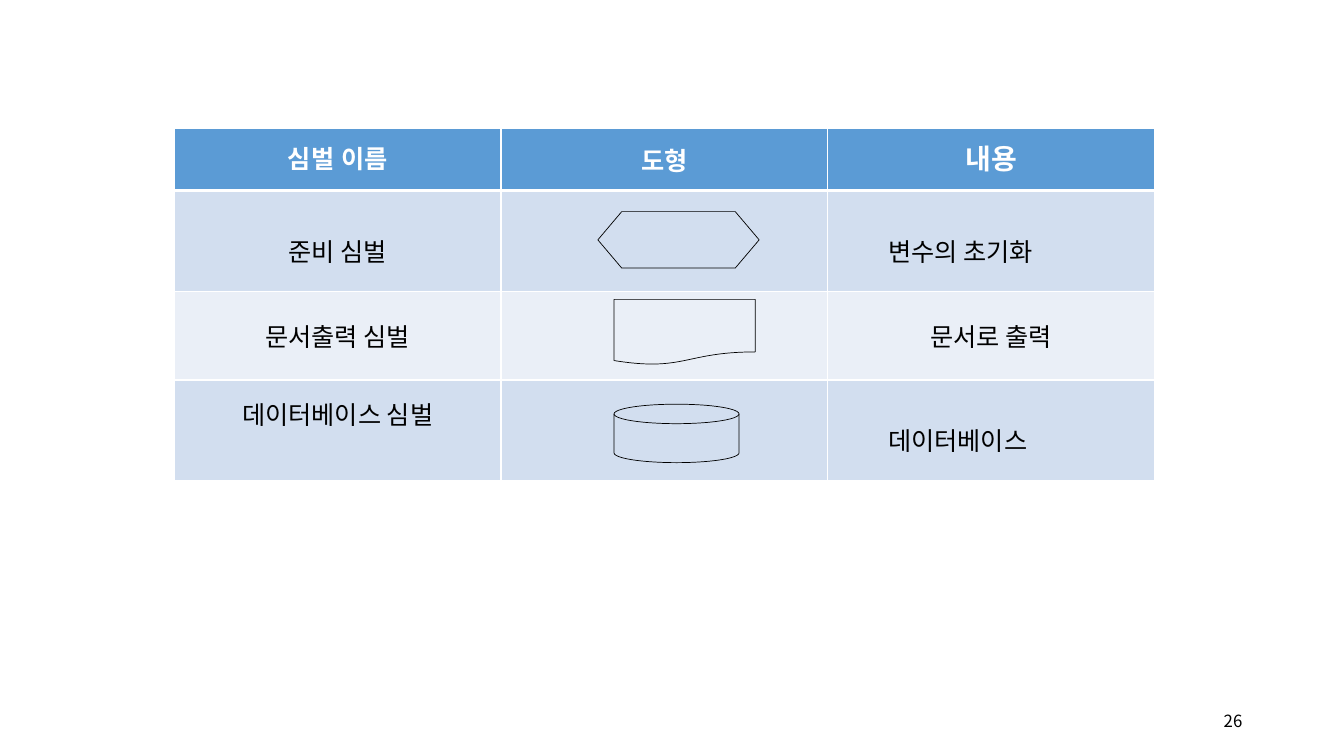
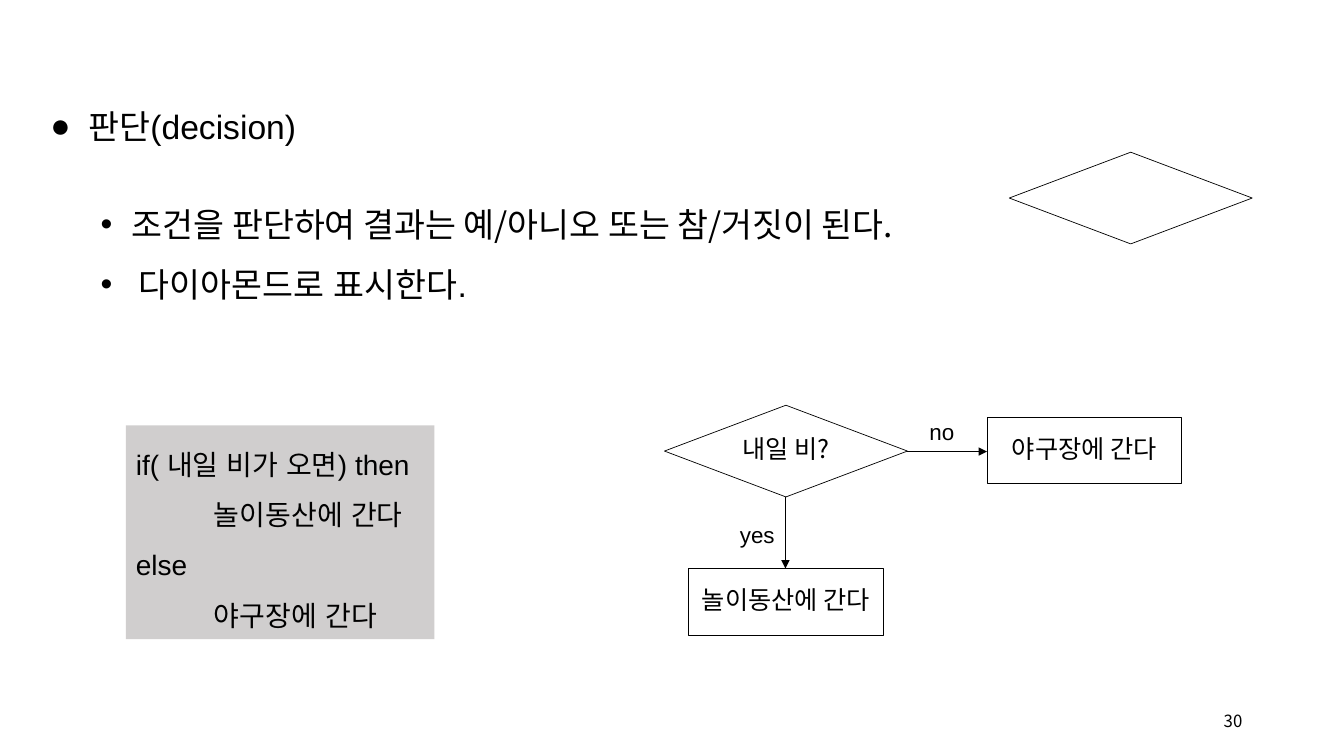
from dataclasses import dataclass

from lxml import etree
from pptx import Presentation
from pptx import util as u
from pptx.dml.color import RGBColor
from pptx.enum import shapes, text
from pptx.oxml import ns

Inches = u.Inches
KIND = shapes.MSO_SHAPE
MID, TOP = text.MSO_ANCHOR.MIDDLE, text.MSO_ANCHOR.TOP
LEFT, MITTE, RIGHT = text.PP_ALIGN.LEFT, text.PP_ALIGN.CENTER, text.PP_ALIGN.RIGHT
Rect = tuple[float, float, float, float]


@dataclass(frozen=True)
class Theme:
    ink: str = "000000"
    white: str = "FFFFFF"
    head: str = "5B9BD5"
    bands: tuple[str, str] = ("D2DEEF", "EAEFF7")
    code: str = "D0CECE"
    latin: str = "Arial"
    hangul: str = "Noto Sans CJK KR"
    hair: float = 0.5
    rule: float = 1
    thick: float = 3
    foot: int = 12
    tag: int = 16
    body: int = 18
    large: int = 20
    point: int = 24


T = Theme()


@dataclass(frozen=True)
class Para:
    words: str
    size: int = T.body
    face: str = T.latin
    color: str = T.ink
    bold: bool = False
    align: text.PP_ALIGN = LEFT
    lines: float = 1
    before: int = 0
    margin: float = 0
    hang: float = 0
    bullet: str = ""


@dataclass(frozen=True)
class Cell:
    para: Para | None = None
    base: float = 0.05


@dataclass(frozen=True)
class Node:
    kind: shapes.MSO_SHAPE
    rect: Rect
    label: str = ""
    bend: float | None = None


def paint(fill, color: str) -> None:
    fill.solid()
    fill.fore_color.rgb = RGBColor.from_string(color)


def child(parent, tag: str, **attrs: str):
    node = etree.SubElement(parent, ns.qn(tag))
    for key, value in attrs.items():
        node.set(key, value)
    return node


def write(frame, paras: list[Para]) -> None:
    for i, item in enumerate(paras):
        par = frame.add_paragraph() if i else frame.paragraphs[0]
        par.alignment = item.align
        par.line_spacing = item.lines
        if item.before:
            par.space_before = u.Pt(item.before)
        props = par._p.get_or_add_pPr()
        props.set("marL", str(Inches(item.margin)))
        props.set("indent", str(Inches(-item.hang)))
        if item.bullet:
            child(props, "a:buFont", typeface=T.latin)
            child(props, "a:buChar", char=item.bullet)
        run = par.add_run()
        run.text = item.words
        font = run.font
        font.size, font.name, font.bold = u.Pt(item.size), item.face, item.bold
        font.color.rgb = RGBColor.from_string(item.color)
        child(run._r.get_or_add_rPr(), "a:ea", typeface=item.face)


def put_text(slide, rect: Rect, paras: list[Para], wrap: bool = True,
             anchor=TOP, fill: str = "") -> None:
    box = slide.shapes.add_textbox(*map(Inches, rect))
    if fill:
        paint(box.fill, fill)
    frame = box.text_frame
    frame.word_wrap, frame.vertical_anchor = wrap, anchor
    write(frame, paras)


def put_node(slide, node: Node) -> None:
    shape = slide.shapes.add_shape(node.kind, *map(Inches, node.rect))
    shape.shadow.inherit = False
    shape.fill.background()
    paint(shape.line.fill, T.ink)
    shape.line.width = u.Pt(T.hair)
    if node.bend is not None:
        shape.adjustments[0] = node.bend
    if node.label:
        frame = shape.text_frame
        frame.word_wrap, frame.vertical_anchor = True, MID
        frame.margin_left = frame.margin_right = frame.margin_top = 0
        frame.margin_bottom = Inches(0.05)
        write(frame, [Para(node.label, face=T.hangul, align=MITTE)])


def put_arrow(slide, x1: float, y1: float, x2: float, y2: float) -> None:
    line = slide.shapes.add_connector(
        shapes.MSO_CONNECTOR.STRAIGHT, *map(Inches, (x1, y1, x2, y2)))
    paint(line.line.fill, T.ink)
    line.line.width = u.Pt(T.hair)
    child(line.line._get_or_add_ln(), "a:tailEnd", type="triangle")
    child(line._element.spPr, "a:effectLst")


def edge(cell, side: str, width: float) -> None:
    """Draw one white border of a table cell."""
    line = child(cell._tc.get_or_add_tcPr(), f"a:ln{side}", w=str(u.Pt(width)))
    child(child(line, "a:solidFill"), "a:srgbClr", val=T.white)


def put_table(slide, rect: Rect, tall: list[float], rows: list[list[Cell]]) -> None:
    count = len(rows[0])
    grid = slide.shapes.add_table(len(rows), count, *map(Inches, rect)).table
    for col in grid.columns:
        col.width = Inches(rect[2] / count)
    for r, (row, height) in enumerate(zip(rows, tall)):
        grid.rows[r].height = Inches(height)
        for c, item in enumerate(row):
            cell = grid.cell(r, c)
            for side in "LRTB":
                under = (r, side) in ((0, "B"), (1, "T"))
                edge(cell, side, T.thick if under else T.rule)
            paint(cell.fill, T.bands[(r - 1) % 2] if r else T.head)
            cell.vertical_anchor = MID
            cell.margin_bottom = Inches(item.base)
            if item.para:
                write(cell.text_frame, [item.para])


def new_slide(deck, number: int):
    slide = deck.slides.add_slide(deck.slide_layouts[6])
    put_text(slide, (11.94, 6.95, 0.48, 0.4),
             [Para(str(number), T.foot, T.hangul, align=RIGHT)], anchor=MID)
    return slide


def title(words: str, size: int = T.body, face: str = T.latin) -> Cell:
    return Cell(Para(words, size, face, T.white, True, MITTE))


def name(words: str, lines: float = 1, base: float = 0.05) -> Cell:
    return Cell(Para(words, face=T.hangul, align=MITTE, lines=lines), base)


def note(words: str) -> Cell:
    return Cell(Para(words, face=T.hangul, lines=1.5, margin=0.5))


def symbols(deck) -> None:
    slide = new_slide(deck, 26)
    put_table(slide, (1.73, 1.27, 9.72, 3.5), [0.62, 1, 0.88, 1], [
        [title("심벌 이름"), title("도형", face=T.hangul), title("내용", T.large)],
        [name("준비 심벌", 1.5), Cell(), note("변수의 초기화")],
        [name("문서출력 심벌"), Cell(), name("문서로 출력")],
        [name("데이터베이스 심벌", base=0.39), Cell(), note("데이터베이스")],
    ])
    for node in (
        Node(KIND.HEXAGON, (5.93, 2.1, 1.6, 0.56), bend=0.423),
        Node(KIND.FLOWCHART_DOCUMENT, (6.09, 2.97, 1.4, 0.65)),
        Node(KIND.FLOWCHART_MAGNETIC_DISK, (6.09, 4.01, 1.24, 0.58)),
    ):
        put_node(slide, node)


def choice(deck) -> None:
    slide = new_slide(deck, 30)
    code = ("if( 내일 비가 오면) then", "          놀이동산에 간다",
            "else", "          야구장에 간다")
    put_text(slide, (1.25, 4.22, 3.06, 2.12),
             [Para(row, T.large, lines=1.5) for row in code],
             wrap=False, fill=T.code)
    put_text(slide, (0.4, 0.8, 9.49, 2.32), [
        Para("판단(decision)", T.point, lines=1.5,
             margin=0.38, hang=0.38, bullet="●"),
        Para("조건을 판단하여 결과는 예/아니오 또는 참/거짓이 된다.", T.point,
             T.hangul, before=41, margin=0.81, hang=0.31, bullet="•"),
        Para("다이아몬드로 표시한다.", T.point, lines=1.5,
             margin=0.88, hang=0.38, bullet="•"),
    ])
    ask, step = (2.41, 0.91), (1.93, 0.66)
    for node in (
        Node(KIND.FLOWCHART_DECISION, (10.01, 1.51, *ask)),
        Node(KIND.FLOWCHART_DECISION, (6.59, 4.02, *ask), "내일 비?"),
        Node(KIND.FLOWCHART_PROCESS, (6.83, 5.64, *step), "놀이동산에 간다"),
        Node(KIND.FLOWCHART_PROCESS, (9.79, 4.14, *step), "야구장에 간다"),
    ):
        put_node(slide, node)
    put_arrow(slide, 9, 4.48, 9.79, 4.48)
    put_arrow(slide, 7.79, 4.93, 7.79, 5.64)
    for words, rect in (("yes", (7.24, 4.99, 0.55, 0.5)),
                        ("no", (9.12, 3.97, 0.45, 0.5))):
        put_text(slide, rect, [Para(words, T.tag, lines=1.5)], wrap=False)


def main() -> None:
    deck = Presentation()
    deck.slide_width, deck.slide_height = Inches(13.33), Inches(7.5)
    symbols(deck)
    choice(deck)
    deck.save("out.pptx")


if __name__ == "__main__":
    main()
